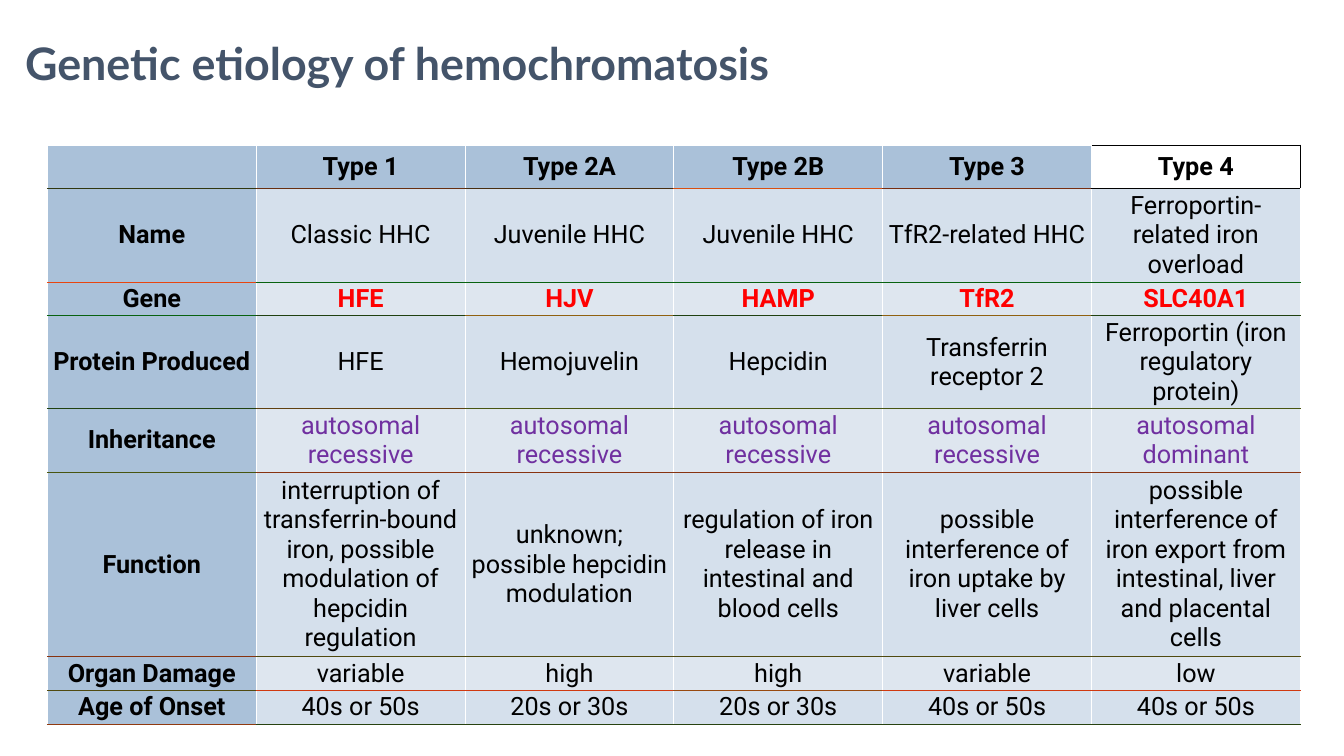
from dataclasses import dataclass

import pptx
import pptx.dml.color
import pptx.enum.text
import pptx.oxml
import pptx.oxml.ns
import pptx.util
from pptx.util import Pt


@dataclass(frozen=True)
class Theme:
    title_font: str = "Lato"
    table_font: str = "Roboto"
    title_size: float = 32
    table_size: float = 18
    title: str = "44546A"
    text: str = "000000"
    gene: str = "FF0000"
    inheritance: str = "7030A0"
    label_fill: str = "AAC1D9"
    odd_fill: str = "D5E0EC"
    even_fill: str = "DEE6EF"
    white: str = "FFFFFF"
    rule_width: float = 0.75
    accent_width: float = 1


THEME = Theme()


@dataclass(frozen=True)
class Row:
    """One table row: a label, five values and the colours of the lines below."""
    height: float
    label: str
    values: tuple[str, ...]
    rules: tuple[str, ...]
    color: str = THEME.text
    bold: bool = False


@dataclass(frozen=True)
class Border:
    side: str
    color: str
    width: float = THEME.rule_width


ROWS = (
    Row(31, "", ("Type 1", "Type 2A", "Type 2B", "Type 3", "Type 4"),
        ("303710", "682F10", "482E10", "D84F10", "782E10", THEME.text), bold=True),
    Row(67, "Name",
        ("Classic HHC", "Juvenile HHC", "Juvenile HHC", "TfR2-related HHC",
         "Ferroportin-related iron overload"),
        ("E84510",) + ("086210",) * 5),
    Row(24, "Gene", ("HFE", "HJV", "HAMP", "TfR2", "SLC40A1"),
        ("086210",) + ("204110", "906110") * 2 + ("204110",),
        color=THEME.gene, bold=True),
    Row(56, "Protein Produced",
        ("HFE", "Hemojuvelin", "Hepcidin", "Transferrin receptor 2",
         "Ferroportin (iron regulatory protein)"),
        ("204110", "604010") + ("485510",) * 4),
    Row(45.4, "Inheritance", ("autosomal recessive",) * 4 + ("autosomal dominant",),
        ("485510",) + ("883310",) * 5, color=THEME.inheritance),
    Row(132, "Function",
        ("interruption of transferrin-bound iron, possible modulation of hepcidin regulation",
         "unknown; possible hepcidin modulation",
         "regulation of iron release in intestinal and blood cells",
         "possible interference of iron uptake by liver cells",
         "possible interference of iron export from intestinal, liver and placental cells"),
        ("883310",) + ("504A10",) * 5),
    Row(24, "Organ Damage", ("variable", "high", "high", "variable", "low"),
        ("504A10", "D03910", "D03910", "984A10", "D03910", "D03910")),
    Row(24, "Age of Onset",
        ("40s or 50s", "20s or 30s", "20s or 30s", "40s or 50s", "40s or 50s"),
        ("903A10",) + ("284210",) * 5),
)

COLUMNS = 6
COLUMN_WIDTH = 149.16
CELL_INSET = 1.44


def rgb(color: str) -> pptx.dml.color.RGBColor:
    return pptx.dml.color.RGBColor.from_string(color)


def style_run(r, font: str, size: float, color: str, bold: bool) -> None:
    r.font.name = font
    r.font.size = Pt(size)
    r.font.color.rgb = rgb(color)
    r.font.bold = bold


def cell_borders(row: int, col: int) -> list[Border]:
    """Borders in the order the schema asks for: left, right, top, bottom."""
    last = col == COLUMNS - 1
    accent = row == 0 and last
    width = THEME.accent_width if accent else THEME.rule_width
    borders = []
    if col > 0:
        borders.append(Border("L", THEME.white))
    borders.append(Border("R", THEME.text if accent else THEME.white, width))
    if row > 0:
        shared = THEME.accent_width if row == 1 and last else THEME.rule_width
        borders.append(Border("T", ROWS[row - 1].rules[col], shared))
    elif accent:
        borders.append(Border("T", THEME.text, width))
    borders.append(Border("B", ROWS[row].rules[col], width))
    return borders


def add_border(cell, border: Border) -> None:
    cell._tc.get_or_add_tcPr().append(pptx.oxml.parse_xml(
        f'<a:ln{border.side} {pptx.oxml.ns.nsdecls("a")} w="{Pt(border.width)}">'
        f'<a:solidFill><a:srgbClr val="{border.color}"/></a:solidFill>'
        f'</a:ln{border.side}>'))


def cell_fill(row: int, col: int) -> str:
    if row == 0 and col == COLUMNS - 1:
        return THEME.white
    if row == 0 or col == 0:
        return THEME.label_fill
    return THEME.odd_fill if row % 2 else THEME.even_fill


def fill_cell(cell, row: int, col: int) -> None:
    for border in cell_borders(row, col):
        add_border(cell, border)
    cell.fill.solid()
    cell.fill.fore_color.rgb = rgb(cell_fill(row, col))
    cell.margin_left = cell.margin_right = Pt(CELL_INSET)
    cell.margin_top = cell.margin_bottom = Pt(CELL_INSET)
    cell.vertical_anchor = pptx.enum.text.MSO_ANCHOR.MIDDLE

    data = ROWS[row]
    is_label = col == 0
    cell.text_frame.text = data.label if is_label else data.values[col - 1]
    p = cell.text_frame.paragraphs[0]
    p.alignment = pptx.enum.text.PP_ALIGN.CENTER
    for r in p.runs:
        style_run(r, THEME.table_font, THEME.table_size,
                  THEME.text if is_label else data.color, is_label or data.bold)


def add_types_table(slide) -> None:
    height = sum(row.height for row in ROWS)
    table = slide.shapes.add_table(
        len(ROWS), COLUMNS, Pt(33.84), Pt(103.7),
        Pt(COLUMN_WIDTH * COLUMNS), Pt(height)).table
    table.first_row = False
    table.horz_banding = False
    for column in table.columns:
        column.width = Pt(COLUMN_WIDTH)
    for i, row in enumerate(ROWS):
        table.rows[i].height = Pt(row.height)
        for j in range(COLUMNS):
            fill_cell(table.cell(i, j), i, j)


def add_title(slide) -> None:
    tf = slide.shapes.add_textbox(Pt(10.8), Pt(21.6), Pt(586), Pt(46)).text_frame
    tf.word_wrap = False
    tf.auto_size = pptx.enum.text.MSO_AUTO_SIZE.SHAPE_TO_FIT_TEXT
    tf.text = "Genetic etiology of hemochromatosis"
    style_run(tf.paragraphs[0].runs[0], THEME.title_font, THEME.title_size,
              THEME.title, True)


def main() -> None:
    prs = pptx.Presentation()
    prs.slide_width, prs.slide_height = Pt(960), Pt(540)
    slide = prs.slides.add_slide(prs.slide_layouts[6])
    add_types_table(slide)
    add_title(slide)
    prs.save("out.pptx")


if __name__ == "__main__":
    main()
